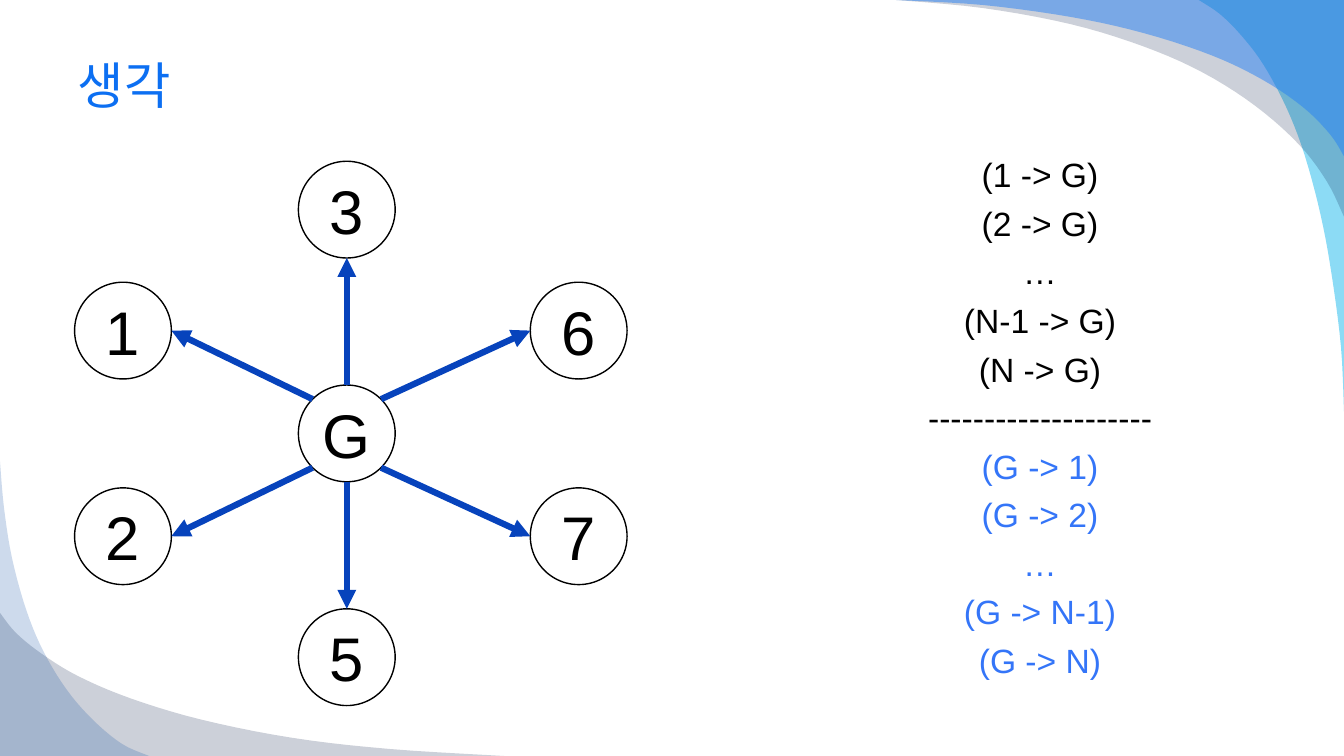
from itertools import pairwise
from lxml import etree
from pptx import Presentation
from pptx.dml.color import RGBColor
from pptx.enum.shapes import MSO_CONNECTOR as LINK, MSO_SHAPE as SHAPE
from pptx.enum.text import MSO_ANCHOR as ANCHOR, MSO_AUTO_SIZE as FIT, PP_ALIGN as ALIGN
from pptx.oxml.ns import qn
from pptx.util import Inches, Pt

WIDTH, HEIGHT = 13.33, 7.5
DIAMETER = 0.96
RADIUS = DIAMETER / 2
DIAGONAL = 0.34  # offset of the hub's 45-degree rim points

# colour, opacity in percent, corner, points along the curved edge
WAVES = [
    ("00B1E9", 45, (WIDTH, 0),
     [(11.89, 0), (12.1, 0.14), (12.31, 0.35), (12.53, 0.64), (12.76, 1.07),
      (12.94, 1.54), (13.1, 2.14), (13.21, 2.74), (13.3, 3.44), (13.33, 4.08)]),
    ("021741", 20, (WIDTH, 0),
     [(8.89, 0), (9.75, 0.08), (10.62, 0.24), (11.34, 0.46), (11.93, 0.72),
      (12.45, 1.05), (12.88, 1.43), (13.16, 1.8), (13.33, 2.15)]),
    ("247FF4", 49, (WIDTH, 0),
     [(8.89, 0), (9.75, 0.05), (10.63, 0.17), (11.35, 0.33), (12.02, 0.55),
      (12.52, 0.79), (12.92, 1.06), (13.19, 1.33), (13.33, 1.55)]),
    ("021741", 20, (0, HEIGHT),
     [(0, 6.08), (0.16, 6.28), (0.42, 6.49), (0.78, 6.71), (1.3, 6.93),
      (2, 7.14), (2.9, 7.32), (3.86, 7.43), (5, 7.5)]),
    ("084AA1", 20, (0, HEIGHT),
     [(0, 4.58), (0.04, 5.04), (0.12, 5.54), (0.26, 6.05), (0.43, 6.46),
      (0.66, 6.84), (0.92, 7.14), (1.21, 7.38), (1.48, 7.5)]),
]
# label and offset of each node's centre from the hub
NODES = [("1", -2.22, -1.02), ("2", -2.22, 1.02), ("3", 0, -2.22),
         ("5", 0, 2.22), ("6", 2.3, -1.02), ("7", 2.3, 1.02)]
INBOUND = ["(1 -> G)", "(2 -> G)", "…", "(N-1 -> G)", "(N -> G)", "-" * 20]
OUTBOUND = ["(G -> 1)", "(G -> 2)", "…", "(G -> N-1)", "(G -> N)"]


def paint(target, colour):
    """Give a fill or line format a solid hex colour."""
    target.solid()
    target.fore_color.rgb = RGBColor.from_string(colour)


def write(para, text, size, colour, align):
    """Add one formatted run to a paragraph."""
    para.alignment = align
    span = para.add_run()
    span.text = text
    span.font.name = "Arial"
    span.font.size = Pt(size)
    paint(span.font.fill, colour)


def place(box, left, top, width, height):
    """Move and size a shape, in inches."""
    box.left, box.top = Inches(left), Inches(top)
    box.width, box.height = Inches(width), Inches(height)


def smooth(knots, steps=5):
    """Return points of a Catmull-Rom curve through the knots."""
    padded = [knots[0], *knots, knots[-1]]
    points = [knots[0]]
    for i, (start, end) in enumerate(pairwise(knots)):
        before, after = padded[i], padded[i + 3]
        for step in range(1, steps + 1):
            t = step / steps
            points.append(tuple(
                b + t * (c - a) / 2 + t**2 * (2 * a - 5 * b + 4 * c - d) / 2
                + t**3 * (3 * b - a - 3 * c + d) / 2
                for a, b, c, d in zip(before, start, end, after)))
    return points


def add_wave(page, colour, opacity, corner, knots):
    """Draw a translucent corner wave behind the title."""
    points = [(Inches(x), Inches(y)) for x, y in [corner, *smooth(knots)]]
    builder = page.shapes.build_freeform(*points[0])
    builder.add_line_segments(points[1:], close=True)
    wave = builder.convert_to_shape()
    wave.shadow.inherit = False
    wave.line.fill.background()
    paint(wave.fill, colour)
    tint = wave.element.spPr.find(".//" + qn("a:srgbClr"))
    etree.SubElement(tint, qn("a:alpha")).set("val", str(opacity * 1000))
    page.shapes.title.element.addprevious(wave.element)


def add_title(page, text, *area):
    """Fill the title placeholder."""
    title = page.shapes.title
    place(title, *area)
    title.text_frame.vertical_anchor = ANCHOR.MIDDLE
    write(title.text_frame.paragraphs[0], text, 36, "0C6FF2", ALIGN.LEFT)


def add_edge_list(page, *area):
    """List inbound and outbound edges in the body placeholder."""
    body = page.placeholders[1]
    place(body, *area)
    frame = body.text_frame
    frame.auto_size = FIT.NONE
    lines = [(text, "000000") for text in INBOUND] + [(text, "3475F8") for text in OUTBOUND]
    for i, (text, colour) in enumerate(lines):
        para = frame.add_paragraph() if i else frame.paragraphs[0]
        para.space_before = Pt(5.9)
        write(para, text, 24, colour, ALIGN.CENTER)
        rules = para._p.get_or_add_pPr()
        rules.set("marL", "0")
        rules.set("indent", "0")
        etree.SubElement(rules, qn("a:buNone"))


def add_node(page, label, x, y):
    """Draw a labelled circle centred on a point."""
    node = page.shapes.add_shape(SHAPE.OVAL, 0, 0, 0, 0)
    place(node, x - RADIUS, y - RADIUS, DIAMETER, DIAMETER)
    node.shadow.inherit = False
    paint(node.fill, "FFFFFF")
    paint(node.line.fill, "000000")
    node.line.width = Pt(1)
    node.text_frame.vertical_anchor = ANCHOR.MIDDLE
    write(node.text_frame.paragraphs[0], label, 44, "000000", ALIGN.CENTER)


def add_arrow(page, *ends):
    """Draw a thick arrow from one point to another."""
    arrow = page.shapes.add_connector(LINK.STRAIGHT, *map(Inches, ends))
    paint(arrow.line.fill, "0743BC")
    arrow.line.width = Pt(4.5)
    etree.SubElement(arrow.line._get_or_add_ln(), qn("a:tailEnd")).set("type", "triangle")
    etree.SubElement(arrow.element.spPr, qn("a:effectLst"))


def add_star_graph(page, x, y):
    """Draw the hub at a point, its nodes, and an arrow to each node."""
    for label, dx, dy in [("G", 0, 0), *NODES]:
        add_node(page, label, x + dx, y + dy)
    for _, dx, dy in NODES:
        side, down = (dx > 0) - (dx < 0), (dy > 0) - (dy < 0)
        reach = DIAGONAL if side else RADIUS
        drop = 0 if side else RADIUS * down
        add_arrow(page, x + reach * side, y + reach * down,
                  x + dx - RADIUS * side, y + dy - drop)


deck = Presentation()
deck.slide_width, deck.slide_height = Inches(WIDTH), Inches(HEIGHT)
page = deck.slides.add_slide(deck.slide_layouts[1])
for wave in WAVES:
    add_wave(page, *wave)
add_title(page, "생각", 0.67, 0.33, 12, 1.01)
add_edge_list(page, 7.97, 1.48, 4.69, 5.85)
add_star_graph(page, 3.44, 4.3)
deck.save("out.pptx")
